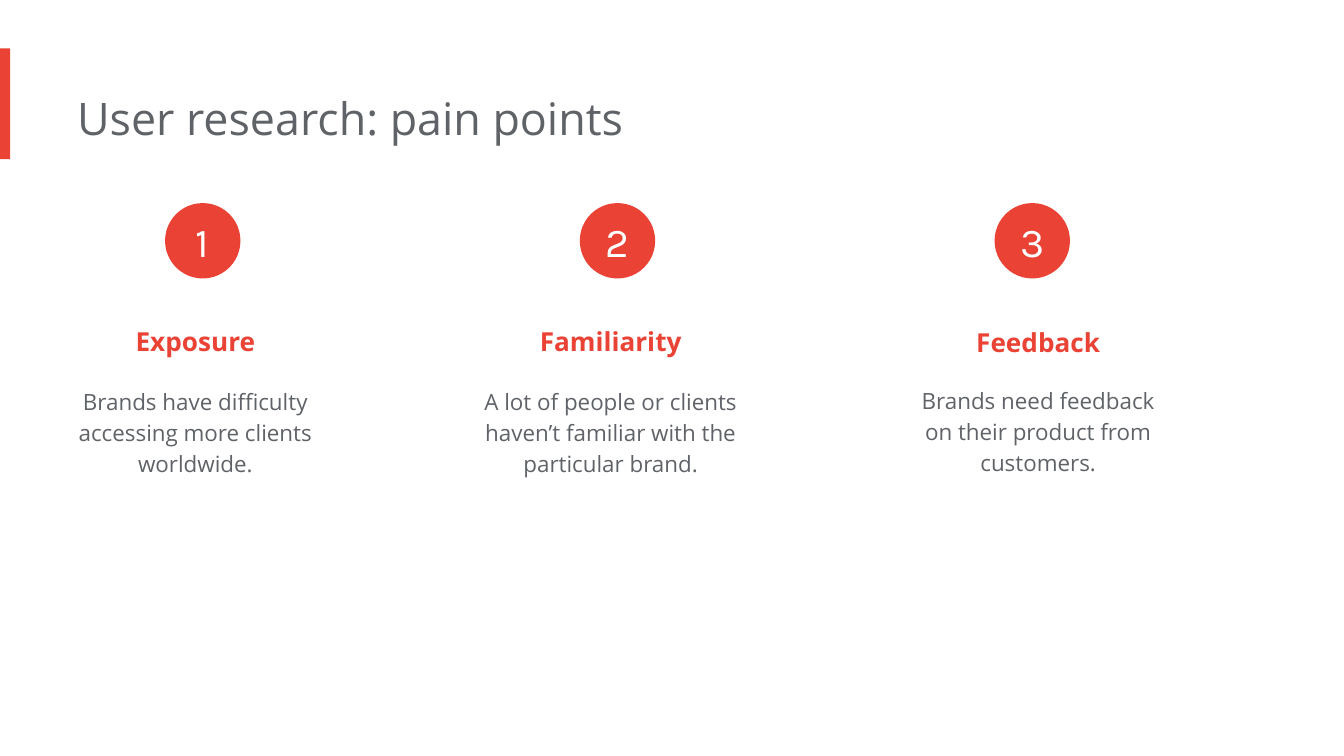
from pptx import Presentation
from pptx import util as u
from pptx.dml.color import RGBColor
from pptx.enum import shapes, text

TITLE = "User research: pain points"
# heading, description, text left, heading top, description top
PAIN_POINTS = [
    ("Exposure", "Brands have difficulty accessing more clients worldwide.",
     34.5, 158.5, 198.5),
    ("Familiarity", "A lot of people or clients haven’t familiar with the particular brand.",
     257, 158.5, 198.5),
    ("Feedback", "Brands need feedback on their product from customers.",
     486, 159.2, 198),
]
COLORS = {"accent": "EA4335", "body": "5F6368", "white": "FFFFFF"}
FONT, NUMBER_FONT = "Open Sans", "Karla"
TEXT_WIDTH, HEADING_HEIGHT, DESCRIPTION_HEIGHT = 147.5, 39.5, 64
CIRCLE_LEFT, CIRCLE_TOP, CIRCLE_SIZE, CIRCLE_PITCH = 88.4, 108.8, 40.4, 222.2


def color(name):
    return RGBColor.from_string(COLORS[name])


def write(box, content, size, ink, font=FONT, bold=False, spacing=1.0,
          align=text.PP_ALIGN.CENTER, anchor=text.MSO_ANCHOR.TOP, inset=7.2):
    """Fill a shape with one formatted paragraph; the left inset is always zero."""
    frame = box.text_frame
    frame.text = content
    frame.word_wrap = True
    frame.auto_size = text.MSO_AUTO_SIZE.NONE
    frame.vertical_anchor = anchor
    frame.margin_left = 0
    frame.margin_top = frame.margin_right = frame.margin_bottom = u.Pt(inset)
    para = frame.paragraphs[0]
    para.alignment = align
    para.line_spacing = spacing
    span = para.runs[0]
    span.font.name = font
    span.font.size = u.Pt(size)
    span.font.bold = bold
    span.font.color.rgb = color(ink)


def add_accent_shape(page, kind, *bounds):
    shape = page.shapes.add_shape(kind, *map(u.Pt, bounds))
    shape.shadow.inherit = False
    shape.fill.solid()
    shape.fill.fore_color.rgb = color("accent")
    shape.line.fill.background()
    return shape


def add_text(page, bounds, content, size, ink, **style):
    box = page.shapes.add_textbox(*map(u.Pt, bounds))
    write(box, content, size, ink, **style)


def main():
    deck = Presentation()
    deck.slide_width, deck.slide_height = u.Pt(720), u.Pt(405)
    page = deck.slides.add_slide(deck.slide_layouts.get_by_name("Title Only"))

    add_accent_shape(page, shapes.MSO_SHAPE.RECTANGLE, 0, 26, 5.5, 59.3)

    title = page.shapes.title
    title.left, title.top, title.width, title.height = map(u.Pt, (41.3, 41.2, 484.5, 44))
    write(title, TITLE, 24, "body", align=text.PP_ALIGN.LEFT)

    for index, (heading, description, left, heading_top, description_top) in enumerate(PAIN_POINTS):
        add_text(page, (left, heading_top, TEXT_WIDTH, HEADING_HEIGHT),
                 heading, 14, "accent", bold=True, spacing=1.5)
        add_text(page, (left, description_top, TEXT_WIDTH, DESCRIPTION_HEIGHT),
                 description, 12, "body", spacing=1.15)
        circle = add_accent_shape(page, shapes.MSO_SHAPE.OVAL,
                                  CIRCLE_LEFT + index * CIRCLE_PITCH, CIRCLE_TOP,
                                  CIRCLE_SIZE, CIRCLE_SIZE)
        write(circle, str(index + 1), 22, "white", font=NUMBER_FONT,
              anchor=text.MSO_ANCHOR.MIDDLE, inset=0)

    deck.save("out.pptx")


if __name__ == "__main__":
    main()
